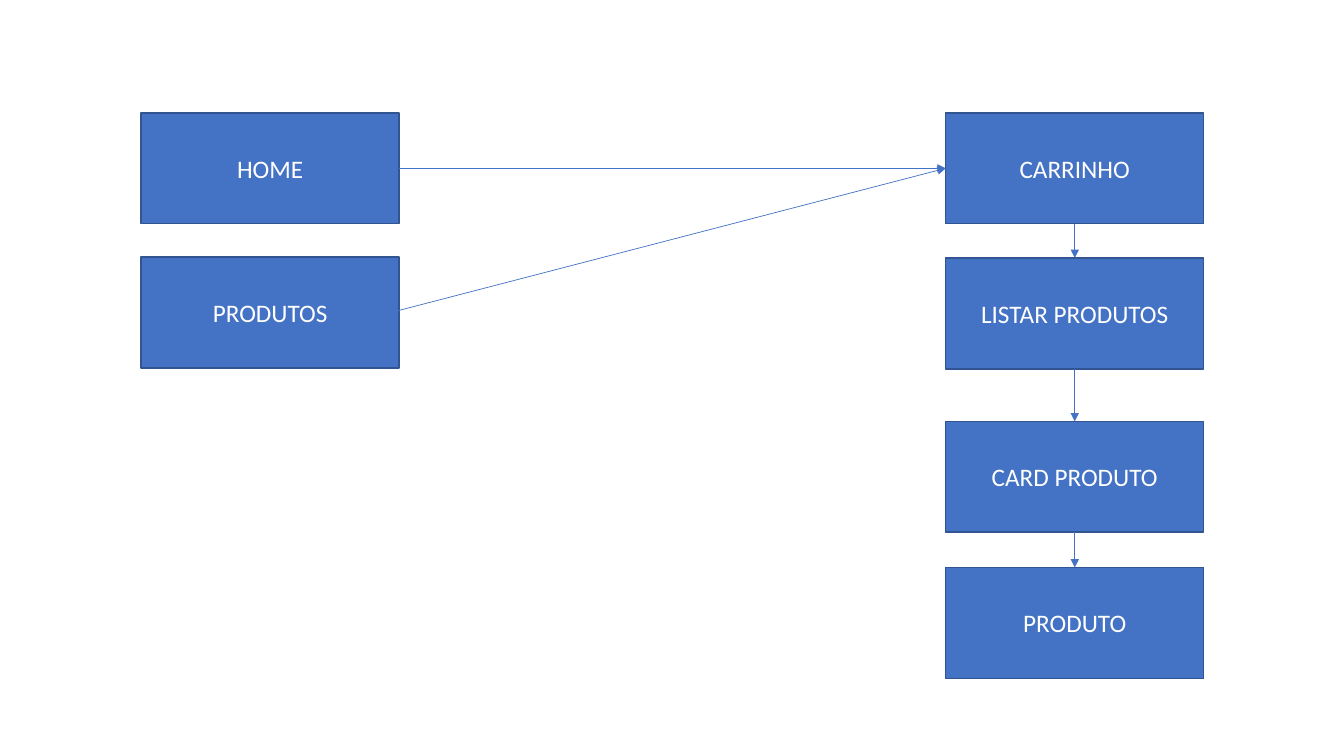
"""Build a flow diagram of the shop pages and the cart components."""
import pptx
import pptx.dml.color
import pptx.enum.shapes
import pptx.enum.text
import pptx.oxml
import pptx.oxml.ns
import pptx.util
from pptx.util import Inches

BOX_WIDTH, BOX_HEIGHT = 2.56, 1.1
PAGES_LEFT, CART_LEFT = 1.4, 9.38
BOXES = {
    "HOME": (PAGES_LEFT, 1.12),
    "PRODUTOS": (PAGES_LEFT, 2.55),
    "CARRINHO": (CART_LEFT, 1.12),
    "LISTAR PRODUTOS": (CART_LEFT, 2.56),
    "CARD PRODUTO": (CART_LEFT, 4.18),
    "PRODUTO": (CART_LEFT, 5.63),
}
CART_CHAIN = ["CARRINHO", "LISTAR PRODUTOS", "CARD PRODUTO", "PRODUTO"]
PRODUCTS_ARROW_START = (3.84, 3.11)
BLUE, BORDER, WHITE = "4472C4", "325491", "FFFFFF"


def color(value):
    return pptx.dml.color.RGBColor.from_string(value)


def add_box(slide, label, left, top):
    box = slide.shapes.add_shape(
        pptx.enum.shapes.MSO_SHAPE.RECTANGLE,
        Inches(left), Inches(top), Inches(BOX_WIDTH), Inches(BOX_HEIGHT))
    box.shadow.inherit = False
    box.fill.solid()
    box.fill.fore_color.rgb = color(BLUE)
    box.line.color.rgb = color(BORDER)
    box.line.width = pptx.util.Pt(1)
    frame = box.text_frame
    frame.word_wrap = True
    frame.vertical_anchor = pptx.enum.text.MSO_ANCHOR.MIDDLE
    para = frame.paragraphs[0]
    para.alignment = pptx.enum.text.PP_ALIGN.CENTER
    span = para.add_run()
    span.text = label
    span.font.name = "Calibri"
    span.font.size = pptx.util.Pt(18)
    span.font.color.rgb = color(WHITE)


def add_arrow(slide, start, end):
    points = [Inches(value) for value in (*start, *end)]
    arrow = slide.shapes.add_connector(
        pptx.enum.shapes.MSO_CONNECTOR.STRAIGHT, *points)
    arrow.line.color.rgb = color(BLUE)
    arrow.line.width = pptx.util.Pt(0.5)
    namespace = pptx.oxml.ns.nsdecls("a")
    properties = arrow.element.spPr
    outline = properties.find(pptx.oxml.ns.qn("a:ln"))
    outline.append(pptx.oxml.parse_xml(f'<a:tailEnd {namespace} type="triangle"/>'))
    properties.append(pptx.oxml.parse_xml(f"<a:effectLst {namespace}/>"))


def main():
    deck = pptx.Presentation()
    deck.slide_width, deck.slide_height = Inches(13.33), Inches(7.5)
    slide = deck.slides.add_slide(deck.slide_layouts[6])
    for label, (left, top) in BOXES.items():
        add_box(slide, label, left, top)

    center = CART_LEFT + BOX_WIDTH / 2
    for upper, lower in zip(CART_CHAIN, CART_CHAIN[1:]):
        bottom = BOXES[upper][1] + BOX_HEIGHT
        add_arrow(slide, (center, bottom), (center, BOXES[lower][1]))

    middle = BOXES["CARRINHO"][1] + BOX_HEIGHT / 2
    for start in [(PAGES_LEFT + BOX_WIDTH, middle), PRODUCTS_ARROW_START]:
        add_arrow(slide, start, (CART_LEFT, middle))
    deck.save("out.pptx")


if __name__ == "__main__":
    main()
